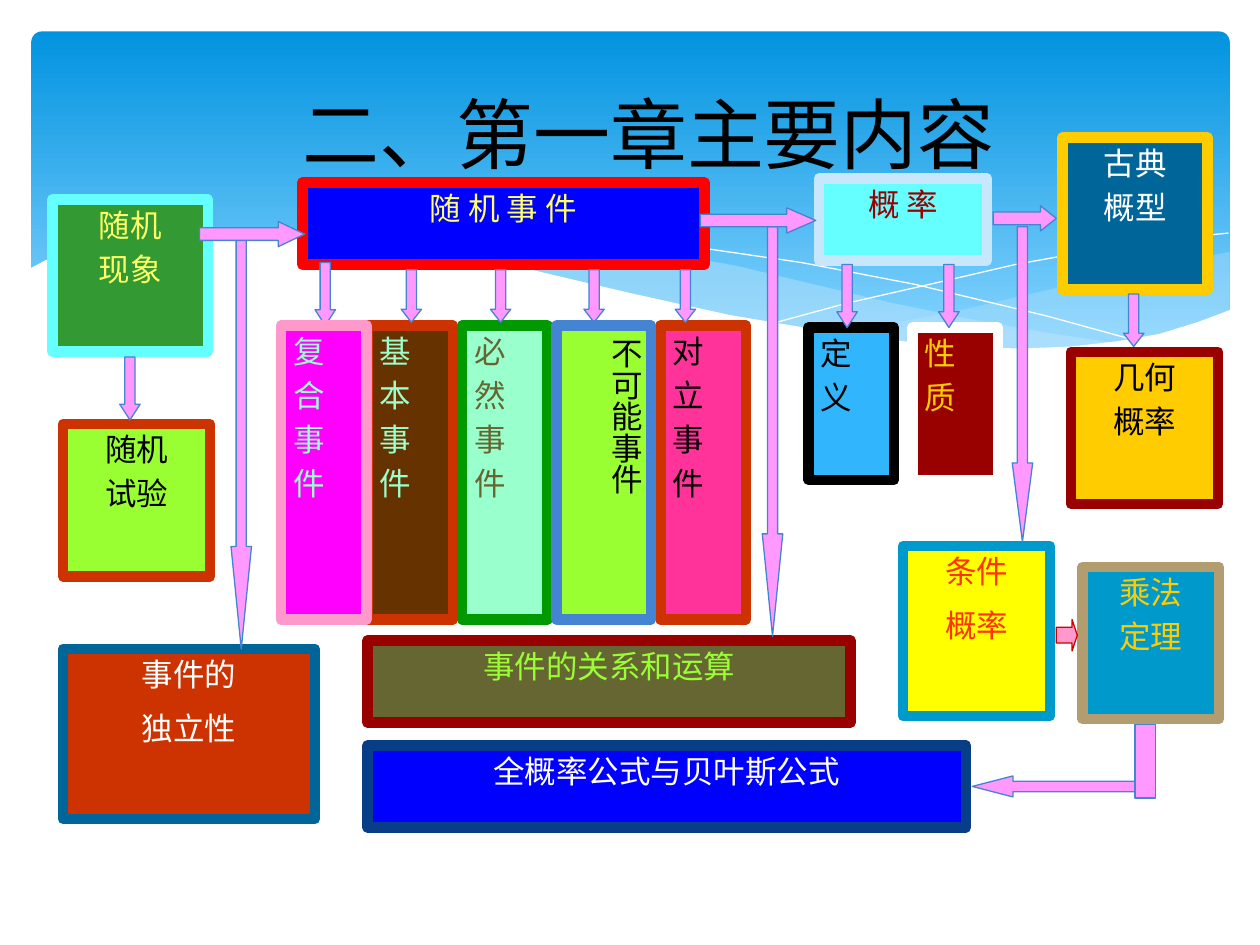
from lxml.etree import SubElement
from pptx import Presentation
from pptx.dml.color import RGBColor
from pptx.enum.shapes import MSO_SHAPE as Shape
from pptx.enum.text import MSO_ANCHOR as Anchor, PP_ALIGN as Align
from pptx.oxml.ns import qn
from pptx.util import Inches, Pt

UNIT = Inches(1) // 12
CALIBRI, NOTO = "Calibri", "Noto Sans CJK SC"
PINK, BLUE, PALE = "FF99FF", "4584D3", "C6E7FC"
COLUMN_W, COLUMN_H, BOX_H, BAR_H, TALL_H, SHAFT = 8.15, 28, 14.5, 7.8, 16.2, 1.95

WAVE_RIGHT = [
    (117.1, 24), (108.7, 25.6), (103.3, 26.8), (90.4, 29.8), (79.3, 31.8),
    (84.6, 32.5), (90.8, 33.1), (96.4, 33.4), (102.5, 33.1), (108.6, 32.3),
    (113.9, 30.8), (117.1, 29.6)]
WAVE_LONG = [
    (107.2, 32.8), (100.4, 31.8), (93, 30.5), (84.7, 28.8), (75.5, 26.6),
    (70.1, 25.3), (64.9, 24.4), (60.2, 23.5), (55.8, 22.9), (50.4, 22.4),
    (45.6, 22.2), (41.3, 22.3), (37.6, 22.6), (34.3, 22.9), (38.8, 23.5),
    (43.4, 24.4), (48.5, 25.3), (53.9, 26.6), (63.6, 28.8), (72.1, 30.6),
    (78, 31.7), (83.4, 32.4), (88.3, 33), (92.8, 33.2), (96.8, 33.4),
    (100.6, 33.4), (104, 33.2)]
CURVE_FALLING = [
    (37.1, 23.4), (41.3, 22.8), (46.4, 22.4), (52, 22.4), (58.7, 22.8),
    (66.7, 23.6), (76.3, 25), (87.2, 27.1), (99.7, 30.1), (108.8, 32.6)]
CURVE_RISING = [
    (73.6, 30.8), (80.6, 28.9), (89.8, 26.8), (96.7, 25.2), (103.9, 23.9),
    (110.9, 22.8), (117, 22.2)]
WAVE_WHITE = [
    (117.2, 29.5), (114, 30.7), (110.4, 31.8), (106.4, 32.5), (102, 33),
    (97.1, 33.2), (91.3, 33), (85, 32.4), (77.8, 31.4), (69.5, 30),
    (60.4, 28), (53.6, 26.4), (46.9, 24.8), (40.8, 23.6), (35, 22.8),
    (30, 22.3), (25.3, 22.1), (21.2, 22.1), (17.5, 22.2), (14.3, 22.4),
    (11.4, 22.9), (9.1, 23.4), (7.1, 23.9), (5.5, 24.4), (4.3, 24.8),
    (2.8, 25.6), (2.8, 39.5), (117.2, 39.5)]

TOPICS = [
    ("随机 现象", (5, 19, 14.8, BOX_H), "339933", "66FFFF", "FFFF66", CALIBRI),
    ("随机 试验", (6, 40.4, 14, BOX_H), "99FF33", "CC3300", "000000", NOTO),
    ("古典 概型", (101.2, 13.1, 13.8, BOX_H), "006699", "FFCC00", "FFFFFF", NOTO),
    ("几何 概率", (102, 33.5, 14, BOX_H), "FFCC00", "990000", "000000", CALIBRI),
    ("乘法 定理", (103.1, 54, 13, BOX_H), "0099CC", "B39C6F", "FFCC00", CALIBRI)]
SPACED = [
    ("事件的 独立性", (6, 61.8, 24, TALL_H), "CC3300", "006699", "FFFFFF", NOTO),
    ("条件 概率", (86, 52, 14, TALL_H), "FFFF00", "0099CC", "FF3300", CALIBRI)]
BARS = [
    ("随 机 事 件", (28.8, 17.4, 38.3, BAR_H), "0000FF", "FF0000", "FFFF66", NOTO),
    ("概 率", (78, 17, 16, BAR_H), "66FFFF", PALE, "990000", NOTO),
    ("事件的关系和运算", (35, 61, 46, BAR_H), "666633", "990000", "99FF33", CALIBRI),
    ("全概率公式与贝叶斯公式", (35, 71, 57, BAR_H), "0000FF", "073E87", "FFFFFF", CALIBRI)]
COLUMNS = [
    ("基本事件", (35, 31, COLUMN_W, COLUMN_H), "663300", "CC3300", "99FFCC"),
    ("必然事件", (44, 31, COLUMN_W, COLUMN_H), "99FFCC", "009900", "666633"),
    ("对立事件", (62.9, 31, COLUMN_W, COLUMN_H), "FF3399", "CC3300", "000000"),
    ("性质", (86.9, 31.2, COLUMN_W, BOX_H), "990000", "FFFFFF", "FFCC00"),
    ("定义", (77, 31.2, COLUMN_W, BOX_H), "31B6FD", "000000", "000000")]
DOWN = [(11.4, 34, 6), (22, 22.8, 39), (30, 25, 6), (72.6, 21.6, 39),
        (79.7, 25.2, 6), (89.4, 25.2, 6), (96.4, 21.6, 30), (107, 28, 5)]
DOWN += [(x, 25.7, 5) for x in (38.2, 46.7, 55.6, 64.3)]
RIGHT = [(19, 21.1, 10), (66.7, 19.8, 11), (94.6, 19.6, 6)]


def rgb(value):
    """Turn a hex string into a colour."""
    return RGBColor.from_string(value)


def grid(*values):
    """Turn grid units into slide lengths."""
    return [round(v * UNIT) for v in values]


class Slide:
    """Holds the text style and the current slide."""

    def __init__(self, s, size=18):
        """Keep the slide and its text size."""
        self.s, self.size = s, size

    def paint(self, sp, fill=None, line=None, width=0.75, opacity=None):
        """Set fill, line and shadow of a shape."""
        sp.shadow.inherit = False
        if fill:
            sp.fill.solid()
            sp.fill.fore_color.rgb = rgb(fill)
        else:
            sp.fill.background()
        if opacity:
            color = sp.element.spPr.find(qn("a:solidFill"))[0]
            SubElement(color, qn("a:alpha"), val=str(opacity * 1000))
        if line:
            sp.line.color.rgb = rgb(line)
            sp.line.width = Pt(width)
        else:
            sp.line.fill.background()
        return sp

    def text(self, tf, lines, color, font, size, align, gap=0):
        """Set one paragraph per line."""
        tf.word_wrap = True
        tf.text = "\n".join(lines)
        for i, p in enumerate(tf.paragraphs):
            p.alignment = align
            p.space_before = Pt(gap if i else 0)
            for r in p.runs:
                r.font.name, r.font.size = font, Pt(size)
                r.font.color.rgb = rgb(color)
                SubElement(r.font._element, qn("a:ea"), typeface=font)

    def title(self, text, place):
        """Place the title in front of the backdrop."""
        sp = self.s.shapes.title
        sp.element.getparent().append(sp.element)
        sp.left, sp.top, sp.width, sp.height = grid(*place)
        sp.text_frame.vertical_anchor = Anchor.MIDDLE
        self.text(sp.text_frame, [text], "000000", CALIBRI, 44, Align.CENTER)

    def shape(self, kind, place, fill, line, width=0.75):
        """Add a preset shape."""
        sp = self.s.shapes.add_shape(kind, *grid(*place))
        return self.paint(sp, fill, line, width)

    def banner(self, place):
        """Add the rounded gradient panel."""
        sp = self.shape(Shape.ROUNDED_RECTANGLE, place, "0293E0", None)
        sp.adjustments[0] = 0.03
        sp.fill.gradient()
        sp.fill.gradient_angle = 270
        for stop, color, pos in zip(sp.fill.gradient_stops, ("0293E0", "83D3FE"), (0, 0.9)):
            stop.color.rgb, stop.position = rgb(color), pos

    def curve(self, points, closed=True, **look):
        """Add a freeform through the points."""
        start, *rest = [grid(*pt) for pt in points]
        builder = self.s.shapes.build_freeform(*start)
        builder.add_line_segments(rest, close=closed)
        self.paint(builder.convert_to_shape(), **look)

    def box(self, lines, place, fill, line, color, font=CALIBRI, align=Align.CENTER, gap=3.6):
        """Add a thickly framed text box."""
        sp = self.shape(Shape.RECTANGLE, place, fill, line, 6)
        sp.text_frame.vertical_anchor = Anchor.TOP
        self.text(sp.text_frame, lines, color, font, self.size, align, gap)
        return sp

    def column(self, text, *style):
        """Add a box with one character per line."""
        self.box(list(text), *style, align=Align.LEFT)

    def arrow(self, kind, place, fill=PINK, line=BLUE):
        """Add a block arrow whose head is a quarter of its length."""
        sp = self.shape(kind, place, fill, line)
        w, h = place[2:]
        length = h if kind == Shape.DOWN_ARROW else w
        sp.adjustments[0] = 0.5
        sp.adjustments[1] = length / 4 / min(w, h)


def main():
    """Build the chapter map."""
    prs = Presentation()
    prs.slide_width, prs.slide_height = grid(120, 90)
    s = Slide(prs.slides.add_slide(prs.slide_layouts[5]))
    s.banner((3, 3, 114.1, 32.4))
    s.curve(WAVE_RIGHT, fill=PALE, opacity=29)
    s.curve(WAVE_LONG, fill=PALE, opacity=40)
    for points in (CURVE_FALLING, CURVE_RISING):
        s.curve(points, closed=False, line="FFFFFF", width=0)
    s.curve(WAVE_WHITE, fill="FFFFFF")
    s.title("二、第一章主要内容", (10.8, 7.6, 102, 10))

    for text, *style in TOPICS:
        s.box(text.split(), *style)
    for text, *style in SPACED:
        s.box(text.split(), *style, gap=9)
    for text, *style in BARS:
        s.box([text], *style)
    for item in COLUMNS:
        s.column(*item)

    for x, y, length in DOWN:
        s.arrow(Shape.DOWN_ARROW, (x, y, SHAFT, length))
    for x, y, length in RIGHT:
        s.arrow(Shape.RIGHT_ARROW, (x, y, length, 2.4))
    s.arrow(Shape.RIGHT_ARROW, (100.6, 59, 2, 3), "FF99CC", "CC0000")
    s.arrow(Shape.LEFT_ARROW, (92.6, 73.9, 15.5, 2))
    s.shape(Shape.RECTANGLE, (108.1, 69, SHAFT, 7), PINK, BLUE)

    sp = s.box(["不可能事件"], (53, 31, 9, COLUMN_H), "99FF33", BLUE, "000000", align=Align.LEFT)
    sp.text_frame._txBody.bodyPr.set("vert", "eaVert")
    s.column("复合事件", (26.75, 31, COLUMN_W, COLUMN_H), "FF00FF", "FF99CC", "99FFCC")
    prs.save("out.pptx")


if __name__ == "__main__":
    main()
